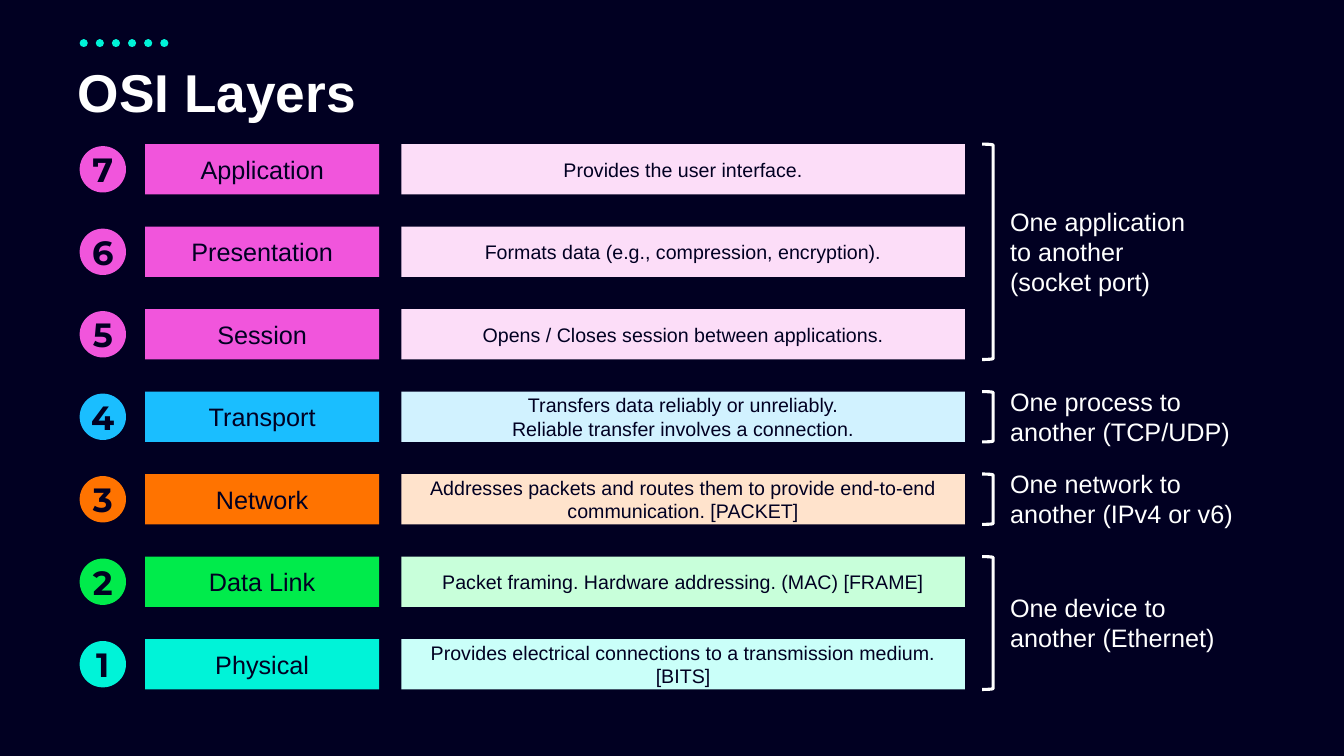
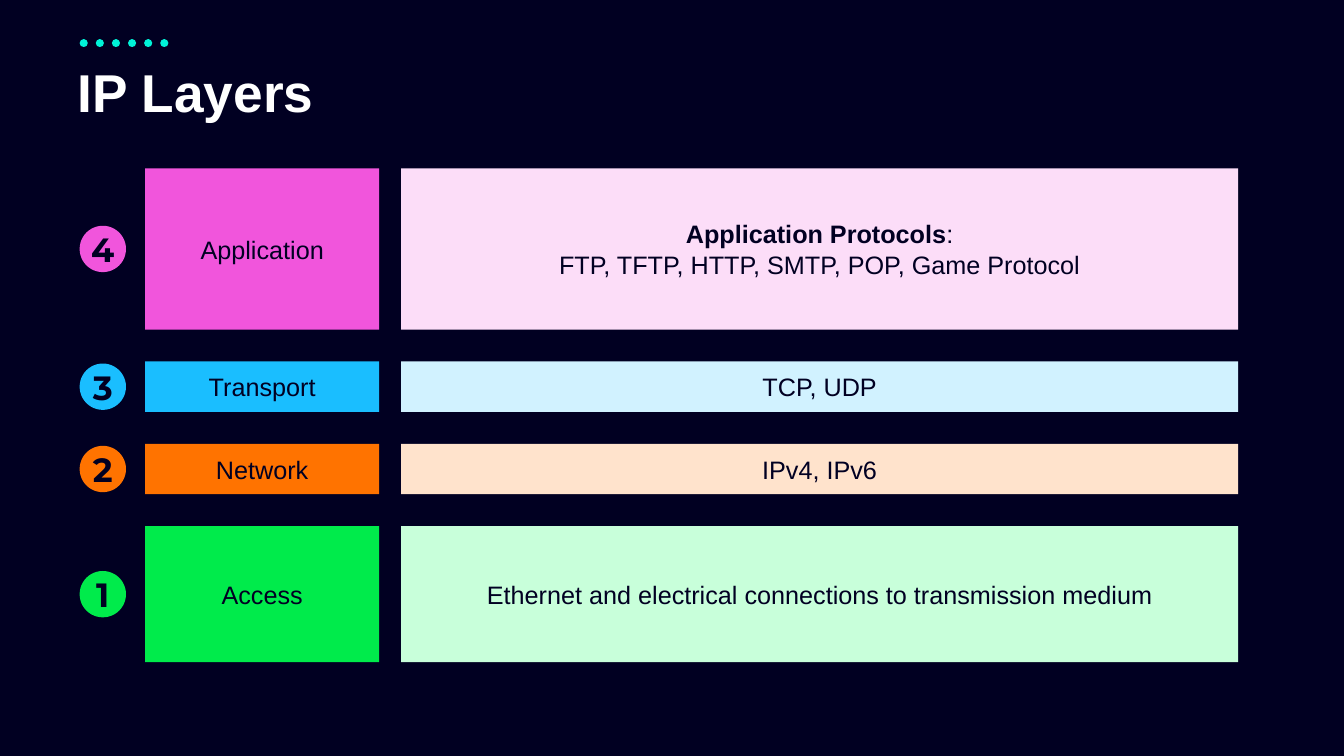
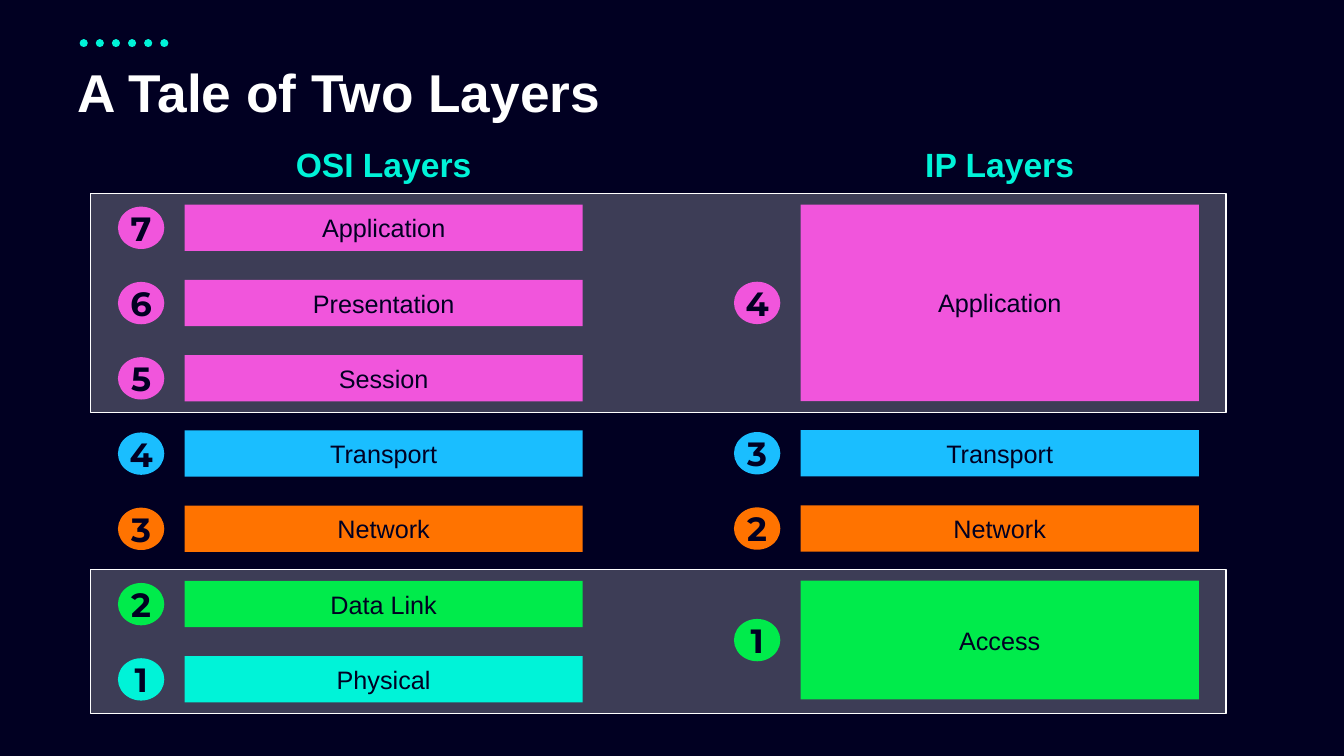
import pptx
import pptx.dml.color
import pptx.enum.dml
import pptx.enum.shapes
import pptx.enum.text
import pptx.oxml.ns
import pptx.util
from lxml import etree

Inches = pptx.util.Inches
SHAPES = pptx.enum.shapes.MSO_SHAPE
ALIGN = pptx.enum.text.PP_ALIGN
ANCHOR = pptx.enum.text.MSO_ANCHOR

THEME = {
    "background": "010022", "ink": "010022", "light": "FFFFFF", "accent": "00F3D8",
    "font": "Arial", "badge font": "Montserrat",
    "title size": 38, "heading size": 24, "label size": 18, "detail size": 14,
    # strong colour for labels and badges, tint for descriptions
    "pink": ("F155DC", "FCDDF8"),
    "blue": ("1ABEFF", "D1F2FF"),
    "orange": ("FF7300", "FFE3CC"),
    "green": ("00EB4B", "C8FFDA"),
    "teal": ("00F3D8", "CAFFF9"),
}

# name, hue, description
OSI_LAYERS = [
    ("Application", "pink", "Provides the user interface."),
    ("Presentation", "pink", "Formats data (e.g., compression, encryption)."),
    ("Session", "pink", "Opens / Closes session between applications."),
    ("Transport", "blue", "Transfers data reliably or unreliably.\v"
                          "Reliable transfer involves a connection."),
    ("Network", "orange", "Addresses packets and routes them to provide "
                          "end-to-end communication. [PACKET]"),
    ("Data Link", "green", "Packet framing. Hardware addressing. (MAC) [FRAME]"),
    ("Physical", "teal", "Provides electrical connections to a transmission medium. [BITS]"),
]
# first layer, last layer, text, box width, lines
OSI_SCOPES = [
    (0, 2, "One application to another (socket port)", 2.13, 3),
    (3, 3, "One process to another (TCP/UDP)", 2.51, 2),
    (4, 4, "One network to another (IPv4 or v6)", 2.51, 2),
    (5, 6, "One device to another (Ethernet)", 2.51, 2),
]
IP_LAYERS = [
    ("Application", "pink", "Application Protocols:\nFTP, TFTP, HTTP, SMTP, POP, Game Protocol"),
    ("Transport", "blue", "TCP, UDP"),
    ("Network", "orange", "IPv4, IPv6"),
    ("Access", "green", "Ethernet and electrical connections to transmission medium"),
]
IP_LEAD = "Application Protocols"

# left edge and width of each column
BADGE_LEFT, BADGE_WIDTH = 0.79, 0.46
LABEL = (1.44, 2.32)
OSI_DETAIL = (3.98, 5.59)
IP_DETAIL = (3.98, 8.3)
BRACKET = (9.74, 0.11)
SCOPE_LEFT = 9.92
PANEL = (0.9, 11.26)
PANEL_PADDING = 0.11


def color(value):
    return pptx.dml.color.RGBColor.from_string(value)


def stack(top, bottom, heights):
    """Return (top, height) of rows that fill the span with equal gaps."""
    gap = (bottom - top - sum(heights)) / (len(heights) - 1)
    rows = []
    for height in heights:
        rows.append((top, height))
        top += height + gap
    return rows


def span(rows, first, last):
    """Return (top, height) of the block from one row to another."""
    top = rows[first][0]
    return top, sum(rows[last]) - top


def format_text(frame, size, ink, align, font=THEME["font"], bold=False):
    for paragraph in frame.paragraphs:
        paragraph.alignment = align
        for run in paragraph.runs:
            run.font.name = font
            run.font.size = pptx.util.Pt(size)
            run.font.bold = bold
            run.font.color.rgb = color(ink)


def add_shape(slide, kind, column, row, fill=None, line=None, line_width=1):
    (left, width), (top, height) = column, row
    shape = slide.shapes.add_shape(
        kind, Inches(left), Inches(top), Inches(width), Inches(height))
    shape.shadow.inherit = False
    if fill:
        shape.fill.solid()
        shape.fill.fore_color.rgb = color(fill)
    else:
        shape.fill.background()
    if line:
        shape.line.color.rgb = color(line)
        shape.line.width = pptx.util.Pt(line_width)
    else:
        shape.line.fill.background()
    return shape


def add_bar(slide, column, row, fill, text, size=THEME["label size"], lead=""):
    """Add a filled rectangle with centred text, optionally with a bold lead."""
    frame = add_shape(slide, SHAPES.RECTANGLE, column, row, fill).text_frame
    frame.word_wrap = True
    frame.vertical_anchor = ANCHOR.MIDDLE
    frame.text = text
    first = frame.paragraphs[0]
    if lead:
        rest = first.text[len(lead):]
        first.text = lead
        first.add_run().text = rest
    format_text(frame, size, THEME["ink"], ALIGN.CENTER)
    if lead:
        first.runs[0].font.bold = True


def add_badge(slide, left, row, number, fill, height):
    """Add a numbered disc centred on a row."""
    top = row[0] + (row[1] - height) / 2
    badge = add_shape(slide, SHAPES.OVAL, (left, BADGE_WIDTH), (top, height), fill)
    frame = badge.text_frame
    frame.margin_left = frame.margin_right = frame.margin_top = frame.margin_bottom = 0
    frame.word_wrap = False
    frame.vertical_anchor = ANCHOR.MIDDLE
    frame.text = str(number)
    format_text(frame, THEME["heading size"], THEME["ink"], ALIGN.CENTER,
                THEME["badge font"], True)


def add_layers(slide, layers, rows, badge_left, label_column, badge_height):
    """Add badges, numbered from the bottom up, and label bars."""
    for index, ((name, hue, _), row) in enumerate(zip(layers, rows)):
        strong = THEME[hue][0]
        add_badge(slide, badge_left, row, len(layers) - index, strong, badge_height)
        add_bar(slide, label_column, row, strong, name)


def add_text(slide, column, row, text, size, ink, align, bold=False):
    (left, width), (top, height) = column, row
    box = slide.shapes.add_textbox(
        Inches(left), Inches(top), Inches(width), Inches(height))
    frame = box.text_frame
    frame.word_wrap = True
    frame.text = text
    format_text(frame, size, ink, align, bold=bold)


def add_dots(slide):
    dots = slide.shapes.add_connector(
        pptx.enum.shapes.MSO_CONNECTOR.STRAIGHT,
        Inches(0.83), Inches(0.43), Inches(1.67), Inches(0.43))
    dots.line.color.rgb = color(THEME["accent"])
    dots.line.width = pptx.util.Pt(5.75)
    dots.line.dash_style = pptx.enum.dml.MSO_LINE.ROUND_DOT
    properties = dots.element.spPr
    properties.find(pptx.oxml.ns.qn("a:ln")).set("cap", "rnd")
    etree.SubElement(properties, pptx.oxml.ns.qn("a:effectLst"))


def new_slide(presentation, title):
    slide = presentation.slides.add_slide(presentation.slide_layouts[5])
    add_dots(slide)
    shape = slide.shapes.title
    shape.left, shape.top = Inches(0.67), Inches(0.61)
    shape.width, shape.height = Inches(11.76), Inches(0.68)
    frame = shape.text_frame
    frame.word_wrap = True
    frame.vertical_anchor = ANCHOR.MIDDLE
    frame.text = title
    frame.paragraphs[0].line_spacing = 0.9
    format_text(frame, THEME["title size"], THEME["light"], ALIGN.LEFT, bold=True)
    return slide


def build_osi(presentation):
    slide = new_slide(presentation, "OSI Layers")
    rows = stack(1.43, 6.84, [0.5] * len(OSI_LAYERS))
    add_layers(slide, OSI_LAYERS, rows, BADGE_LEFT, LABEL, 0.46)
    for (_, hue, description), row in zip(OSI_LAYERS, rows):
        add_bar(slide, OSI_DETAIL, row, THEME[hue][1], description, THEME["detail size"])
    for first, last, text, width, lines in OSI_SCOPES:
        top, height = span(rows, first, last)
        add_shape(slide, SHAPES.RIGHT_BRACKET, BRACKET, (top, height),
                  line=THEME["light"], line_width=2.25)
        text_height = 0.3 * lines + 0.11
        add_text(slide, (SCOPE_LEFT, width),
                 (top + (height - text_height) / 2, text_height),
                 text, THEME["label size"], THEME["light"], ALIGN.LEFT)


def build_ip(presentation):
    slide = new_slide(presentation, "IP Layers")
    rows = stack(1.67, 6.57, [1.6, 0.5, 0.5, 1.35])
    add_layers(slide, IP_LAYERS, rows, BADGE_LEFT, LABEL, 0.46)
    for (_, hue, description), row in zip(IP_LAYERS, rows):
        lead = IP_LEAD if description.startswith(IP_LEAD) else ""
        add_bar(slide, IP_DETAIL, row, THEME[hue][1], description, lead=lead)


def build_comparison(presentation):
    slide = new_slide(presentation, "A Tale of Two Layers")
    osi_rows = stack(2.03, 6.97, [0.46] * len(OSI_LAYERS))
    ip_rows = stack(2.03, 6.94, [1.95, 0.46, 0.46, 1.18])
    for first, last in ((0, 2), (5, 6)):
        top, height = span(osi_rows, first, last)
        panel = add_shape(slide, SHAPES.RECTANGLE, PANEL,
                          (top - PANEL_PADDING, height + 2 * PANEL_PADDING),
                          THEME["light"], THEME["light"])
        fill = panel.element.spPr.find(pptx.oxml.ns.qn("a:solidFill"))
        etree.SubElement(fill[0], pptx.oxml.ns.qn("a:alpha"), val="24000")

    bar_width, heading_width = 3.95, 1.96
    for heading, layers, rows, left in (
            ("OSI Layers", OSI_LAYERS, osi_rows, 1.17),
            ("IP Layers", IP_LAYERS, ip_rows, 7.28)):
        bar_left = left + 0.66
        add_layers(slide, layers, rows, left, (bar_left, bar_width), 0.42)
        heading_left = bar_left + (bar_width - heading_width) / 2
        add_text(slide, (heading_left, heading_width), (1.38, 0.5), heading,
                 THEME["heading size"], THEME["accent"], ALIGN.CENTER, True)


def main():
    presentation = pptx.Presentation()
    presentation.slide_width = Inches(13.33)
    presentation.slide_height = Inches(7.5)
    background = presentation.slide_master.background.fill
    background.solid()
    background.fore_color.rgb = color(THEME["background"])
    build_osi(presentation)
    build_ip(presentation)
    build_comparison(presentation)
    presentation.save("out.pptx")


if __name__ == "__main__":
    main()
